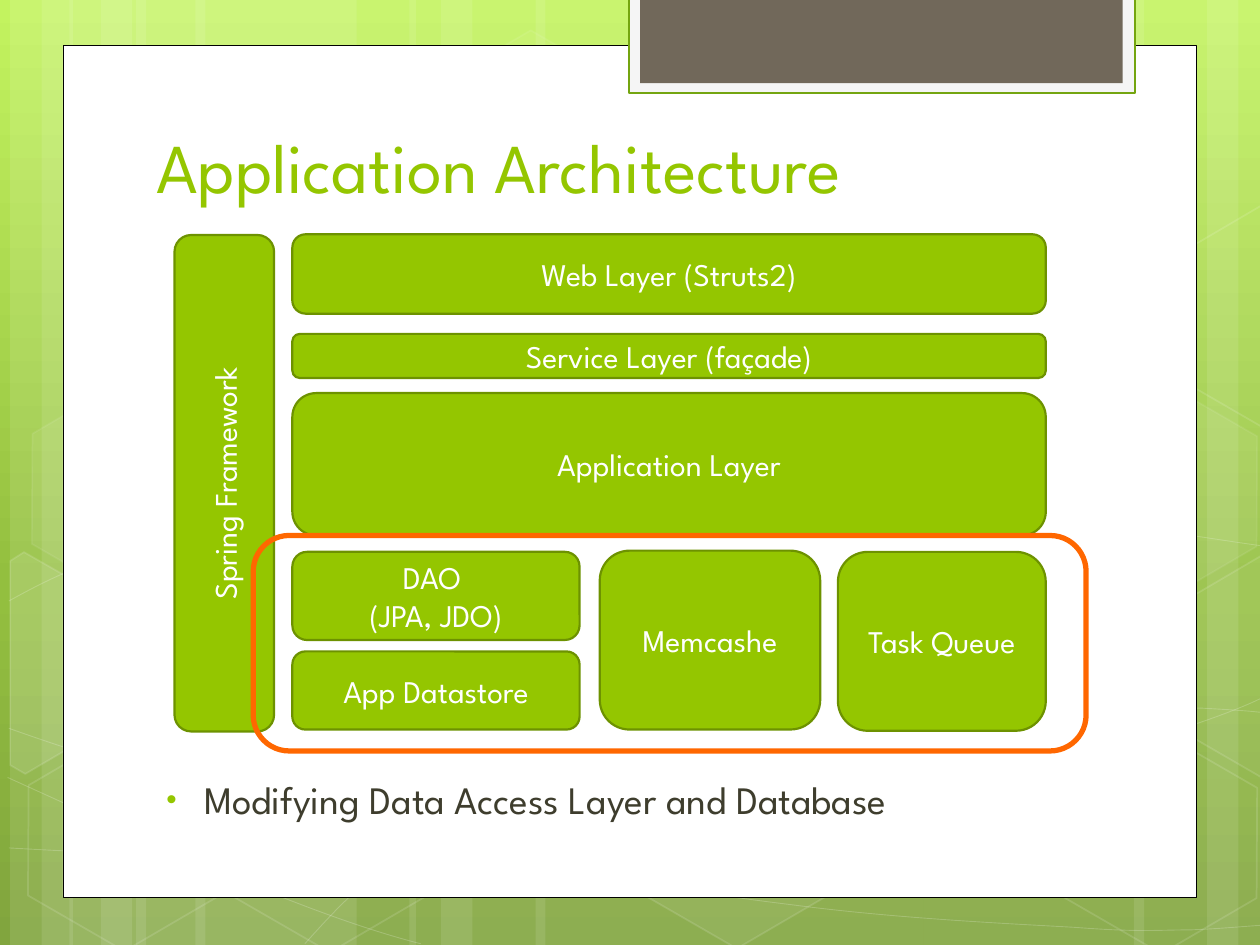
from copy import deepcopy
from dataclasses import dataclass
from math import cos, radians, sin

from lxml import etree
from pptx import Presentation
from pptx.dml.color import RGBColor
from pptx.enum.shapes import MSO_SHAPE
from pptx.enum.text import MSO_ANCHOR, MSO_AUTO_SIZE, PP_ALIGN
from pptx.oxml.ns import qn
from pptx.util import Inches, Pt

FONT = "League Spartan"
GREEN, DARK_GREEN, WHITE = "94C600", "6D9200", "FFFFFF"
LEFT, WIDTH = 2.32, 5.98  # column shared by the architecture layers
TILT = 30  # degrees, all hexagons


@dataclass
class Box:
    x: float
    y: float
    w: float
    h: float
    text: str = ""
    rotation: float = 0


@dataclass
class Hexagon:
    x: float
    y: float
    fill_alpha: int
    line_alpha: int


@dataclass
class CutHexagon:
    """A hexagon cut off by the slide edge, with the centre it is tilted about."""
    center: tuple
    fill_alpha: int
    points: list


LAYERS = [
    Box(-0.19, 3.44, 3.94, 0.79, "Spring Framework", 270),
    Box(LEFT, 1.86, WIDTH, 0.63, "Web Layer (Struts2)"),
    Box(LEFT, 2.65, WIDTH, 0.35, "Service Layer (façade)"),
    Box(LEFT, 3.12, WIDTH, 1.13, "Application Layer"),
    Box(LEFT, 4.38, 2.28, 0.7, "DAO \n(JPA, JDO)"),
    Box(4.76, 4.37, 1.75, 1.42, "Memcashe"),
    Box(6.65, 4.38, 1.65, 1.42, "Task Queue"),
    Box(LEFT, 5.17, 2.28, 0.62, "App Datastore"),
]
# Left edge and width of each full-height stripe
STRIPES = [(1.08, 1.75), (0.08, 0.5), (0.33, 0.83), (1.55, 1.75), (0.55, 0.5), (0.8, 0.83),
           (7.33, 1.75), (9.58, 0.5), (9, 0.83), (4.25, 3.08), (3.25, 0.5), (3.5, 0.83)]
# Start point, then three points for each Bézier segment
WAVES = [
    [(0.07, 6.73), (0.61, 6.76), (1.15, 6.79), (1.9, 6.78), (2.65, 6.77), (3.58, 6.75),
     (4.58, 6.65), (5.58, 6.55), (7, 6.36), (7.92, 6.17), (8.83, 5.98), (9.77, 5.68),
     (10.07, 5.51)],
    [(0.07, 4.77), (0.36, 4.61), (0.65, 4.46), (1.21, 4.31), (1.78, 4.16), (2.59, 3.94),
     (3.47, 3.87), (4.36, 3.8), (5.44, 3.79), (6.54, 3.87), (7.64, 3.95), (9.47, 4.26),
     (10.07, 4.34)],
    [(0.06, 6.17), (1.27, 6.72), (2.47, 7.27), (3.34, 7.49)],
    [(0.07, 5.78), (0.38, 5.89), (0.7, 6), (1.28, 6.16), (1.86, 6.31), (2.73, 6.56),
     (3.57, 6.73), (4.4, 6.9), (5.45, 7.08), (6.28, 7.18), (7.11, 7.29), (8, 7.33),
     (8.53, 7.36), (9.05, 7.4), (9.19, 7.38), (9.45, 7.38), (9.71, 7.37), (9.89, 7.35),
     (10.07, 7.34)],
    [(2.42, 7.49), (2.6, 7.29), (2.78, 7.09), (3.02, 6.91), (3.26, 6.73), (3.6, 6.53),
     (3.88, 6.39), (4.16, 6.25), (4.33, 6.19), (4.7, 6.09), (5.06, 5.99), (5.73, 5.85),
     (6.08, 5.78), (6.44, 5.71), (6.49, 5.71), (6.8, 5.69), (7.11, 5.66), (7.6, 5.63),
     (7.94, 5.62), (8.29, 5.61), (8.86, 5.62), (8.86, 5.62), (9.08, 5.62), (9.31, 5.62),
     (9.53, 5.62), (9.71, 5.63), (9.88, 5.64), (9.97, 5.65), (10.06, 5.66), (10.03, 5.65),
     (10.06, 5.66)],
]
HEXAGONS = [
    Hexagon(3.34, 0.36, 4, 8), Hexagon(4.97, 5.89, 6, 12), Hexagon(0.11, 5.91, 0, 12),
    Hexagon(0.14, 3.12, 7, 8), Hexagon(1.74, 5.92, 0, 12), Hexagon(7.53, 4.53, 10, 12),
    Hexagon(8.34, 5.93, 0, 12), Hexagon(8.34, 3.14, 7, 8),
]
CUT_HEXAGONS = [
    CutHexagon((0.36, 5.35), 10, [(0.08, 4.45), (0.19, 4.38), (0.96, 4.82), (0.95, 5.7),
                                  (0.2, 6.14), (0.08, 6.07)]),
    CutHexagon((9.85, 5.2), 4, [(9.26, 4.85), (10.01, 4.41), (10.09, 4.46), (10.09, 6.13),
                                (10.02, 6.17), (9.26, 5.73)]),
    CutHexagon((9.85, 2.41), 0, [(9.26, 2.07), (10.01, 1.63), (10.1, 1.68), (10.09, 3.35),
                                 (10.02, 3.39), (9.26, 2.95)]),
]


def set_color(fill, color: str, alpha: int = 100) -> None:
    fill.solid()
    fill.fore_color.rgb = RGBColor.from_string(color)
    if alpha < 100:
        node = fill.fore_color._xFill.find(qn("a:srgbClr"))
        etree.SubElement(node, qn("a:alpha"), val=str(alpha * 1000))


def style(sp, fill: str = "", line: str = "", width: float = 1,
          fill_alpha: int = 100, line_alpha: int = 100) -> None:
    sp.shadow.inherit = False
    if fill and fill_alpha:
        set_color(sp.fill, fill, fill_alpha)
    else:
        sp.fill.background()
    if line:
        sp.line.width = Pt(width)
        set_color(sp.line.fill, line, line_alpha)
    else:
        sp.line.fill.background()


def add_box(shapes, box: Box, kind=MSO_SHAPE.RECTANGLE, **look):
    sp = shapes.add_shape(kind, *map(Inches, (box.x, box.y, box.w, box.h)))
    sp.rotation = box.rotation
    style(sp, **look)
    return sp


def add_outline(shapes, points: list, close: bool, **look):
    start, *rest = [(Inches(x), Inches(y)) for x, y in points]
    builder = shapes.build_freeform(*start, scale=1.0)
    builder.add_line_segments(rest, close=close)
    sp = builder.convert_to_shape()
    style(sp, **look)
    return sp


def add_wave(shapes, controls: list) -> None:
    sp = add_outline(shapes, controls, False, line=WHITE, width=0.5, line_alpha=20)
    outline = next(sp.element.iter(qn("a:path")))
    lines = outline.findall(qn("a:lnTo"))
    for i in range(0, len(lines), 3):
        curve = etree.SubElement(outline, qn("a:cubicBezTo"))
        for line in lines[i:i + 3]:
            curve.append(line[0])
            outline.remove(line)


def untilt(point: tuple, center: tuple) -> tuple:
    dx, dy = point[0] - center[0], point[1] - center[1]
    c, n = cos(radians(TILT)), sin(radians(TILT))
    return center[0] + dx * c + dy * n, center[1] - dx * n + dy * c


def write(tf, text: str, size: float, color: str, align, anchor) -> None:
    frame = {"word_wrap": True, "auto_size": MSO_AUTO_SIZE.NONE, "vertical_anchor": anchor}
    for name, value in frame.items():
        setattr(tf, name, value)
    tf.text = text
    for p in tf.paragraphs:
        p.alignment = align
        for r in p.runs:
            for name, value in {"name": FONT, "size": Pt(size), "bold": False}.items():
                setattr(r.font, name, value)
            set_color(r.font.fill, color)


def place(sp, box: Box) -> None:
    for name, value in zip(("left", "top", "width", "height"), (box.x, box.y, box.w, box.h)):
        setattr(sp, name, Inches(value))


def add_bullet(p) -> None:
    p.space_before = Pt(5)
    pPr = p._p.get_or_add_pPr()
    pPr.set("marL", str(Inches(0.38)))
    pPr.set("indent", str(Inches(-0.3)))
    color = etree.SubElement(pPr, qn("a:buClr"))
    etree.SubElement(color, qn("a:srgbClr"), val=GREEN)
    etree.SubElement(pPr, qn("a:buSzPct"), val="76000")
    etree.SubElement(pPr, qn("a:buFont"), typeface="Arial")
    etree.SubElement(pPr, qn("a:buChar"), char="•")


def paint_background(master) -> None:
    fill = master.background.fill
    fill.gradient()
    fill.gradient_angle = 270
    stops = next(master.element.iter(qn("a:gsLst")))
    stops.append(deepcopy(stops[-1]))
    looks = [(0, "C3F35F"), (0.62, "93BF3F"), (1, "81A53E")]
    for stop, (position, color) in zip(fill.gradient_stops, looks):
        stop.position = position
        stop.color.rgb = RGBColor.from_string(color)


def decorate_master(s, master) -> None:
    """Draw the backdrop on the slide, then hand its parts to the master."""
    group = s.shapes.add_group_shape()
    for x, w in STRIPES:
        add_box(group.shapes, Box(x, 0, w, 7.5), fill=WHITE, fill_alpha=10)
    for wave in WAVES:
        add_wave(group.shapes, wave)
    for h in HEXAGONS:
        sp = add_box(group.shapes, Box(h.x, h.y, 1.75, 1.52, rotation=TILT), MSO_SHAPE.HEXAGON,
                     fill=WHITE, line=WHITE, fill_alpha=h.fill_alpha, line_alpha=h.line_alpha)
        sp.adjustments[0] = 0.285
    for h in CUT_HEXAGONS:
        sp = add_outline(group.shapes, [untilt(point, h.center) for point in h.points], True,
                         fill=WHITE, line=WHITE, fill_alpha=h.fill_alpha, line_alpha=12)
        sp.rotation = TILT
    panels = [
        add_box(s.shapes, Box(0.5, 0.36, 9, 6.76), fill=WHITE, line="000000", width=0.5),
        add_box(s.shapes, Box(4.99, -0.02, 4.02, 0.76), fill="F5F5F5", line="74A510", width=1.25),
        add_box(s.shapes, Box(5.08, -0.02, 3.83, 0.68), fill="71685A"),
    ]
    for part in (group, *panels):
        master.shapes.element.append(part.element)
    for number, node in enumerate(master.element.iter(qn("p:cNvPr")), start=1):
        node.set("id", str(number))


def main() -> None:
    prs = Presentation()
    prs.slide_width, prs.slide_height = Inches(10), Inches(7.5)
    s = prs.slides.add_slide(prs.slide_layouts[1])
    paint_background(prs.slide_master)
    decorate_master(s, prs.slide_master)

    title, body = s.placeholders
    place(title, Box(1.14, 0.83, 7.68, 0.87))
    write(title.text_frame, "Application Architecture", 40, GREEN, PP_ALIGN.LEFT,
          MSO_ANCHOR.BOTTOM)
    place(body, Box(1.14, 6.11, 7.72, 0.71))
    write(body.text_frame, "Modifying Data Access Layer and Database", 22.2, "3E3D2D",
          PP_ALIGN.LEFT, MSO_ANCHOR.TOP)
    add_bullet(body.text_frame.paragraphs[0])

    rounded = MSO_SHAPE.ROUNDED_RECTANGLE
    for layer in LAYERS:
        sp = add_box(s.shapes, layer, rounded, fill=GREEN, line=DARK_GREEN, width=1.25)
        write(sp.text_frame, layer.text, 18, WHITE, PP_ALIGN.CENTER, MSO_ANCHOR.MIDDLE)
    add_box(s.shapes, Box(2.01, 4.25, 6.61, 1.71), rounded, line="FF6700", width=3)
    prs.save("out.pptx")


if __name__ == "__main__":
    main()
